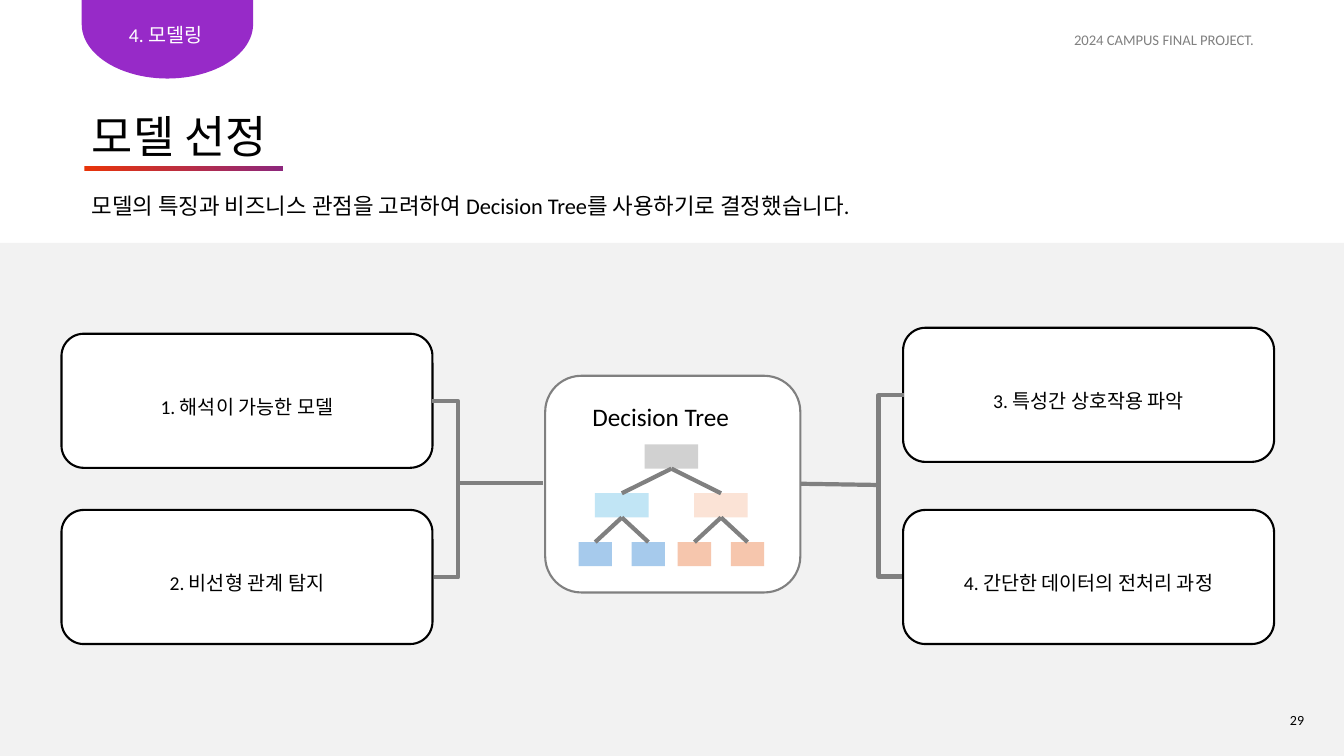
from math import cos, pi, sin

from lxml.etree import SubElement
from pptx import Presentation
from pptx.dml.color import RGBColor as Rgb
from pptx.enum.shapes import MSO_CONNECTOR as Link, MSO_SHAPE as Kind
from pptx.enum.text import MSO_ANCHOR as Anchor, MSO_AUTO_SIZE as Fit, PP_ALIGN as Align
from pptx.oxml.ns import qn
from pptx.util import Cm, Pt

FONT = "Calibri"
GREY = "808080"
BLACK = "000000"
WHITE = "FFFFFF"


def tint(code):
    return Rgb.from_string(code)


def write(frame, text, size, color=BLACK, align=Align.LEFT, space=None):
    frame.word_wrap = True
    frame.text = text
    para = frame.paragraphs[0]
    para.alignment = align
    if space:
        para.line_spacing = space
    font = para.runs[0].font
    font.name, font.size = FONT, Pt(size)
    font.color.rgb = tint(color)


def paint(shape, fill, line=None):
    shape.shadow.inherit = False
    shape.fill.solid()
    shape.fill.fore_color.rgb = tint(fill)
    if line:
        shape.line.color.rgb = tint(line)
        shape.line.width = Pt(1.5)
    else:
        shape.line.fill.background()


def block(slide, kind, x, y, w, h, fill, line=None):
    shape = slide.shapes.add_shape(kind, Cm(x), Cm(y), Cm(w), Cm(h))
    paint(shape, fill, line)
    return shape


def label(slide, x, y, w, h, text, size, **style):
    box = slide.shapes.add_textbox(Cm(x), Cm(y), Cm(w), Cm(h))
    write(box.text_frame, text, size, **style)


def wire(slide, x1, y1, x2, y2, kind=Link.STRAIGHT):
    line = slide.shapes.add_connector(kind, Cm(x1), Cm(y1), Cm(x2), Cm(y2))
    line.line.color.rgb = tint(GREY)
    line.line.width = Pt(3)
    SubElement(line._element.spPr, qn("a:effectLst"))
    return line


def brace(slide, x1, y1, x2, y2, reach):
    """Elbow line whose middle leg stands `reach` away from its ends."""
    line = wire(slide, x1, y1, x2, y2, Link.ELBOW)
    geom = line._element.spPr.find(qn("a:prstGeom"))
    guides = geom.find(qn("a:avLst"))
    if guides is None:
        guides = SubElement(geom, qn("a:avLst"))
    ratio = round(reach / abs(x2 - x1) * 100000)
    SubElement(guides, qn("a:gd"), name="adj1", fmla=f"val {ratio}")


def card(slide, x, y, text):
    shape = block(slide, Kind.FLOWCHART_ALTERNATE_PROCESS,
                  x, y, 9.35, 3.38, WHITE, BLACK)
    shape.text_frame.vertical_anchor = Anchor.MIDDLE
    write(shape.text_frame, text, 14, align=Align.CENTER, space=1.5)


def tab(slide):
    """Purple tab with a half-ellipse foot."""
    mid, top, wide, deep, steps = 4.22, 0.61, 2.16, 1.37, 48
    arc = [(Cm(mid + wide * cos(pi * i / steps)),
            Cm(top + deep * sin(pi * i / steps))) for i in range(steps + 1)]
    pen = slide.shapes.build_freeform(Cm(mid - wide), 0)
    pen.add_line_segments([(Cm(mid + wide), 0)] + arc, close=True)
    paint(pen.convert_to_shape(), "972AC8")
    label(slide, 1.75, 0.46, 4.85, 0.86, "4. 모델링", 14,
          color=WHITE, align=Align.CENTER)


def tree(slide):
    mid, top, step, high = 16.92, 11.2, 1.23, 0.61

    def node(x, level, wide, fill):
        block(slide, Kind.RECTANGLE, x - wide / 2, top + level * step,
              wide, high, fill)

    def edge(x1, x2, level):
        wire(slide, x1, top + level * step + high, x2, top + (level + 1) * step)

    node(mid, 0, 1.35, "D1D1D1")
    for side, fill, leaf in ((-1, "C1E5F5", "A6CAEC"), (1, "FBE3D6", "F6C6AD")):
        x = mid + side * 1.25
        node(x, 1, 1.35, fill)
        edge(mid, x, 0)
        for end in (x - 0.67, x + 0.67):
            node(end, 2, 0.84, leaf)
            edge(x, end, 1)


def head(slide):
    title = slide.shapes.title
    title.left, title.top, title.width, title.height = (
        Cm(2.06), Cm(2.62), Cm(15.57), Cm(1.63))
    write(title.text_frame, "모델 선정", 32)
    title.text_frame.auto_size = Fit.NONE
    title.text_frame.vertical_anchor = Anchor.TOP

    bar = block(slide, Kind.RECTANGLE, 2.13, 4.19, 5, 0.13, "E83409")
    bar.fill.gradient()
    bar.fill.gradient_angle = 0
    for stop, code in zip(bar.fill.gradient_stops, ("E83409", "8D277C")):
        stop.color.rgb = tint(code)

    label(slide, 2.06, 4.72, 23.29, 0.94,
          "모델의 특징과 비즈니스 관점을 고려하여 Decision Tree를 사용하기로 결정했습니다.", 16)
    label(slide, 25.5, 0.64, 7.67, 0.74, "2024 CAMPUS FINAL PROJECT.", 10.5,
          color=GREY, align=Align.CENTER)


def main():
    prs = Presentation()
    prs.slide_width, prs.slide_height = Cm(33.87), Cm(19.05)
    slide = prs.slides.add_slide(prs.slide_layouts[5])

    # Background and heading
    block(slide, Kind.RECTANGLE, 0, 6.12, 33.87, 12.93, "F2F2F2")
    tab(slide)
    head(slide)

    # Reasons
    card(slide, 1.55, 8.41, "1. 해석이 가능한 모델")
    card(slide, 1.55, 12.85, "2. 비선형 관계 탐지")
    card(slide, 22.76, 8.26, "3. 특성간 상호작용 파악")
    card(slide, 22.76, 12.85, "4. 간단한 데이터의 전처리 과정")

    # Links to the centre
    brace(slide, 10.9, 10.1, 10.94, 14.55, 0.64)
    wire(slide, 11.55, 12.17, 13.69, 12.17)
    brace(slide, 22.78, 9.96, 22.74, 14.53, 0.64)
    wire(slide, 22.1, 12.22, 20.18, 12.19)

    # Chosen model
    block(slide, Kind.FLOWCHART_ALTERNATE_PROCESS,
          13.74, 9.47, 6.43, 5.46, WHITE, GREY)
    label(slide, 14.68, 9.98, 4.62, 1.02, "Decision Tree", 18)
    tree(slide)

    # Page number
    label(slide, 32.26, 17.58, 1.14, 0.84, "29", 10, align=Align.JUSTIFY, space=1.5)

    prs.save("out.pptx")


if __name__ == "__main__":
    main()
